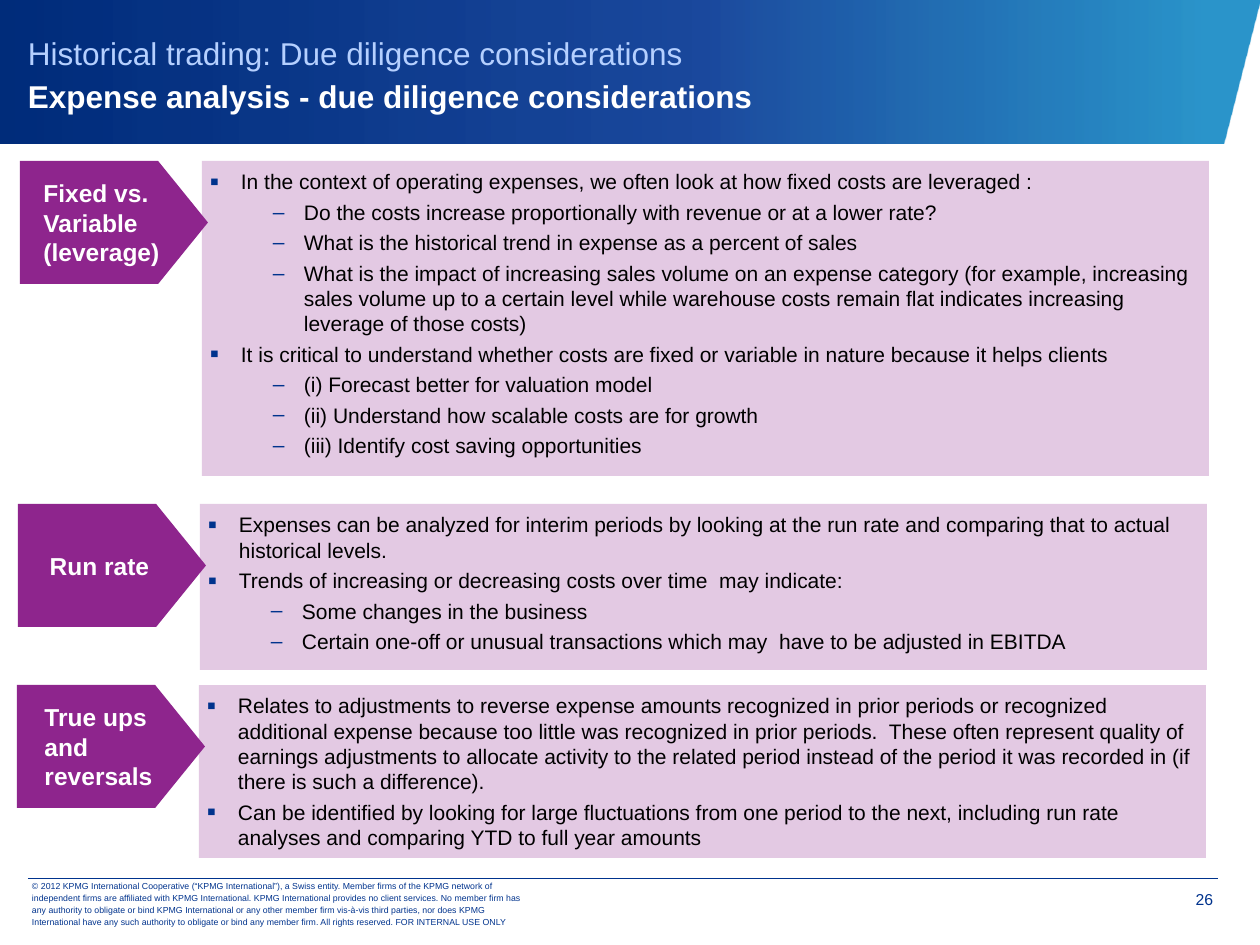
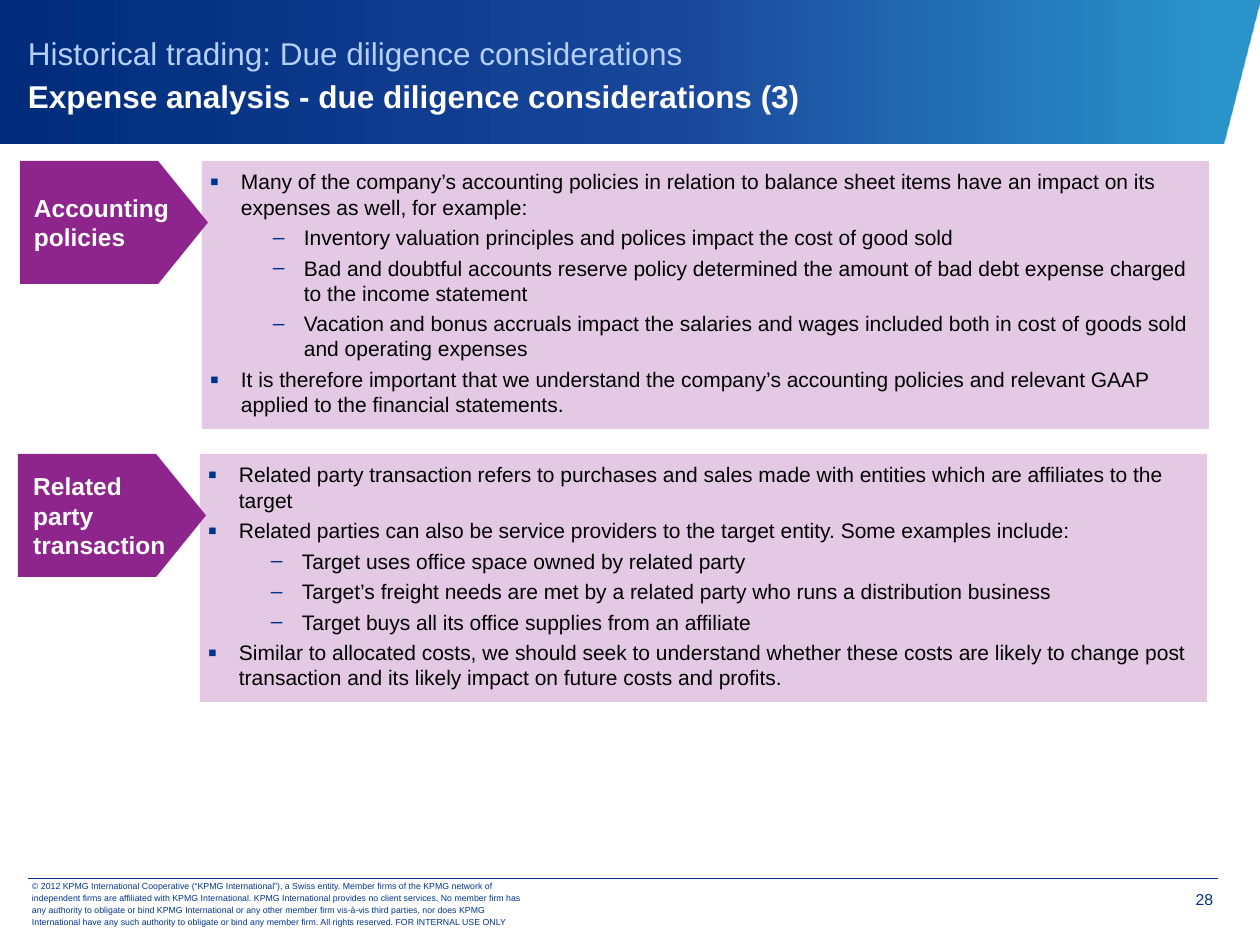
from pptx import Presentation, util as u
from pptx.dml.color import RGBColor
from pptx.enum import shapes, text
from pptx.oxml import parse_xml
from pptx.oxml.ns import nsdecls, qn

PX = 914400 / 126
FONT = "Arial"
NAVY = RGBColor(0x00, 0x33, 0x8D)
PALE = RGBColor(0xB5, 0xD0, 0xFF)
WHITE = RGBColor(0xFF, 0xFF, 0xFF)
BLACK = RGBColor(0x00, 0x00, 0x00)
LILAC = RGBColor(0xE3, 0xC9, 0xE3)
PURPLE = RGBColor(0x8E, 0x25, 0x8D)
SKY = RGBColor(0x00, 0x80, 0xC0)
ROYAL = RGBColor(0x00, 0x34, 0x92)
DEEP = RGBColor(0x00, 0x2C, 0x7A)
STOPS = [(4, SKY, 83), (44, ROYAL, 89), (100, DEEP, 100)]

# Bullet levels: sign, size in percent, left margin in px
LEVELS = {1: ("▪", 125, 31), 2: ("–", 100, 94)}
HANG = 31

TOPIC = "Historical trading: Due diligence considerations"
RIGHTS = (
    "© 2012 KPMG International Cooperative (“KPMG International”), a Swiss entity. "
    "Member firms of the KPMG network of independent firms are affiliated with KPMG "
    "International. KPMG International provides no client services. No member firm has "
    "any authority to obligate or bind KPMG International or any other member firm "
    "vis-à-vis third parties, nor does KPMG International have any such authority to "
    "obligate or bind any member firm. All rights reserved. FOR INTERNAL USE ONLY")

# Each page: title, number, rows of (left, top, height, label, points)
PAGES = [
    ("Expense analysis - due diligence considerations", "26", [
        (20, 161, 315, "Fixed vs. Variable (leverage)", [
            (1, "In the context of operating expenses, we often look at how fixed costs "
                "are leveraged :"),
            (2, "Do the costs increase proportionally with revenue or at a lower rate?"),
            (2, "What is the historical trend in expense as a percent of sales"),
            (2, "What is the impact of increasing sales volume on an expense category "
                "(for example, increasing sales volume up to a certain level while "
                "warehouse costs remain flat indicates increasing leverage of those costs)"),
            (1, "It is critical to understand whether costs are fixed or variable in "
                "nature because it helps clients"),
            (2, "(i) Forecast better for valuation model"),
            (2, "(ii) Understand how scalable costs are for growth"),
            (2, "(iii) Identify cost saving opportunities"),
        ]),
        (18, 504, 166, "Run rate", [
            (1, "Expenses can be analyzed for interim periods by looking at the run rate "
                "and comparing that to actual historical levels."),
            (1, "Trends of increasing or decreasing costs over time  may indicate:"),
            (2, "Some changes in the business"),
            (2, "Certain one-off or unusual transactions which may  have to be adjusted "
                "in EBITDA"),
        ]),
        (17, 685, 173, "True ups and reversals", [
            (1, "Relates to adjustments to reverse expense amounts recognized in prior "
                "periods or recognized additional expense because too little was "
                "recognized in prior periods.  These often represent quality of earnings "
                "adjustments to allocate activity to the related period instead of the "
                "period it was recorded in (if there is such a difference)."),
            (1, "Can be identified by looking for large fluctuations from one period to "
                "the next, including run rate analyses and comparing YTD to full year "
                "amounts"),
        ]),
    ]),
    ("Expense analysis - due diligence considerations (3)", "28", [
        (20, 161, 268, "Accounting policies", [
            (1, "Many of the company’s accounting policies in relation to balance sheet "
                "items have an impact on its expenses as well, for example:"),
            (2, "Inventory valuation principles and polices impact the cost of good sold"),
            (2, "Bad and doubtful accounts reserve policy determined the amount of bad "
                "debt expense charged to the income statement"),
            (2, "Vacation and bonus accruals impact the salaries and wages included both "
                "in cost of goods sold and operating expenses"),
            (1, "It is therefore important that we understand the company’s accounting "
                "policies and relevant GAAP applied to the financial statements."),
        ]),
        (18, 454, 248, "Related party transaction", [
            (1, "Related party transaction refers to purchases and sales made with "
                "entities which are affiliates to the target"),
            (1, "Related parties can also be service providers to the target entity. Some "
                "examples include:"),
            (2, "Target uses office space owned by related party"),
            (2, "Target’s freight needs are met by a related party who runs a "
                "distribution business"),
            (2, "Target buys all its office supplies from an affiliate"),
            (1, "Similar to allocated costs, we should seek to understand whether these "
                "costs are likely to change post transaction and its likely impact on "
                "future costs and profits."),
        ]),
    ]),
]


def px(n):
    return u.Emu(round(n * PX))


def frame(shape, pads, anchor=text.MSO_ANCHOR.TOP):
    tf = shape.text_frame
    tf.word_wrap = True
    tf.vertical_anchor = anchor
    tf.margin_left, tf.margin_top, tf.margin_right, tf.margin_bottom = map(px, pads)
    return tf


def write(para, words, size, color, bold=False):
    run = para.add_run()
    run.text = words
    font = run.font
    font.name, font.size, font.bold = FONT, u.Pt(size), bold
    font.color.rgb = color


def textbox(slide, box, pads, anchor=text.MSO_ANCHOR.TOP):
    return frame(slide.shapes.add_textbox(*map(px, box)), pads, anchor)


def block(slide, kind, box, color):
    shape = slide.shapes.add_shape(kind, *map(px, box))
    shape.shadow.inherit = False
    shape.fill.solid()
    shape.fill.fore_color.rgb = color
    shape.line.fill.background()
    return shape


def bullet(para, level):
    sign, size, left = LEVELS[level]
    para.level = level
    props = para._p.get_or_add_pPr()
    props.set("marL", str(px(left)))
    props.set("indent", str(-px(HANG)))
    for xml in (f'<a:buClr {nsdecls("a")}><a:srgbClr val="{NAVY}"/></a:buClr>',
                f'<a:buSzPct {nsdecls("a")} val="{size * 1000}"/>',
                f'<a:buFont {nsdecls("a")} typeface="{FONT}"/>',
                f'<a:buChar {nsdecls("a")} char="{sign}"/>'):
        props.append(parse_xml(xml))


def header(slide, box, title):
    x, y, w, h = box
    # Slanted band, shaded from right to left
    path = slide.shapes.build_freeform(x, y, scale=PX)
    path.add_line_segments([(x + w, y), (x + w - 37, y + h), (x, y + h)])
    band = path.convert_to_shape()
    band.shadow.inherit = False
    band.line.fill.background()
    band.fill.background()
    stops = "".join(
        f'<a:gs pos="{pos * 1000}"><a:srgbClr val="{color}">'
        f'<a:alpha val="{alpha * 1000}"/></a:srgbClr></a:gs>'
        for pos, color, alpha in STOPS)
    props = band._element.spPr
    props.replace(props.find(qn("a:noFill")), parse_xml(
        f'<a:gradFill {nsdecls("a")} rotWithShape="1"><a:gsLst>{stops}</a:gsLst>'
        '<a:lin ang="10800000" scaled="0"/></a:gradFill>'))
    # Two title lines
    tf = textbox(slide, (x + 28, y + 16, w - 82, h - 32), (0, 0, 0, 0),
                 text.MSO_ANCHOR.MIDDLE)
    para = tf.paragraphs[0]
    para.line_spacing = u.Pt(25)
    write(para, TOPIC, 18, PALE)
    para.add_line_break()
    write(para, title, 18, WHITE, True)


def footer(slide, box, number):
    x, y, w, h = box
    # Rule
    rule = slide.shapes.add_connector(
        shapes.MSO_CONNECTOR.STRAIGHT, px(x), px(y), px(x + w), px(y))
    rule.line.color.rgb = NAVY
    rule.line.width = u.Pt(0.25)
    rule._element.spPr.append(parse_xml(f'<a:effectLst {nsdecls("a")}/>'))
    # Rights
    tf = textbox(slide, (x - 8, y + 3, 523, h), (12, 6, 12, 6), text.MSO_ANCHOR.MIDDLE)
    tf.paragraphs[0].line_spacing = u.Pt(7)
    write(tf.paragraphs[0], RIGHTS, 5, NAVY)
    # Page number
    tf = textbox(slide, (x + w - 74, y + 1, 69, 39), (10, 11, 0, 0))
    tf.paragraphs[0].alignment = text.PP_ALIGN.RIGHT
    write(tf.paragraphs[0], number, 9, NAVY)


def row(slide, box, label, points):
    x, y, w, h = box
    pads = (8, 8, 8, 8)
    # Panel with points
    panel = block(slide, shapes.MSO_SHAPE.RECTANGLE, (x + 182, y, w - 182, h), LILAC)
    tf = frame(panel, pads)
    for i, (level, words) in enumerate(points):
        para = tf.add_paragraph() if i else tf.paragraphs[0]
        para.alignment = text.PP_ALIGN.LEFT
        if i:
            para.space_before = u.Pt(3)
        bullet(para, level)
        write(para, words, 12, BLACK)
    # Arrow label, its text block centred but left-aligned
    arrow = block(slide, shapes.MSO_SHAPE.PENTAGON, (x, y, 188, 123), PURPLE)
    arrow.adjustments[0] = 0.405
    tf = frame(arrow, pads, text.MSO_ANCHOR.MIDDLE)
    tf._txBody.bodyPr.set("anchorCtr", "1")
    tf.paragraphs[0].alignment = text.PP_ALIGN.LEFT
    write(tf.paragraphs[0], label, 14, WHITE, True)


def main():
    deck = Presentation()
    deck.slide_width, deck.slide_height = px(1260), px(945)
    for title, number, rows in PAGES:
        slide = deck.slides.add_slide(deck.slide_layouts[6])
        header(slide, (0, 0, 1260, 143), title)
        footer(slide, (28, 878, 1190, 44), number)
        for left, top, height, label, points in rows:
            row(slide, (left, top, 1189, height), label, points)
    deck.save("out.pptx")


if __name__ == "__main__":
    main()
